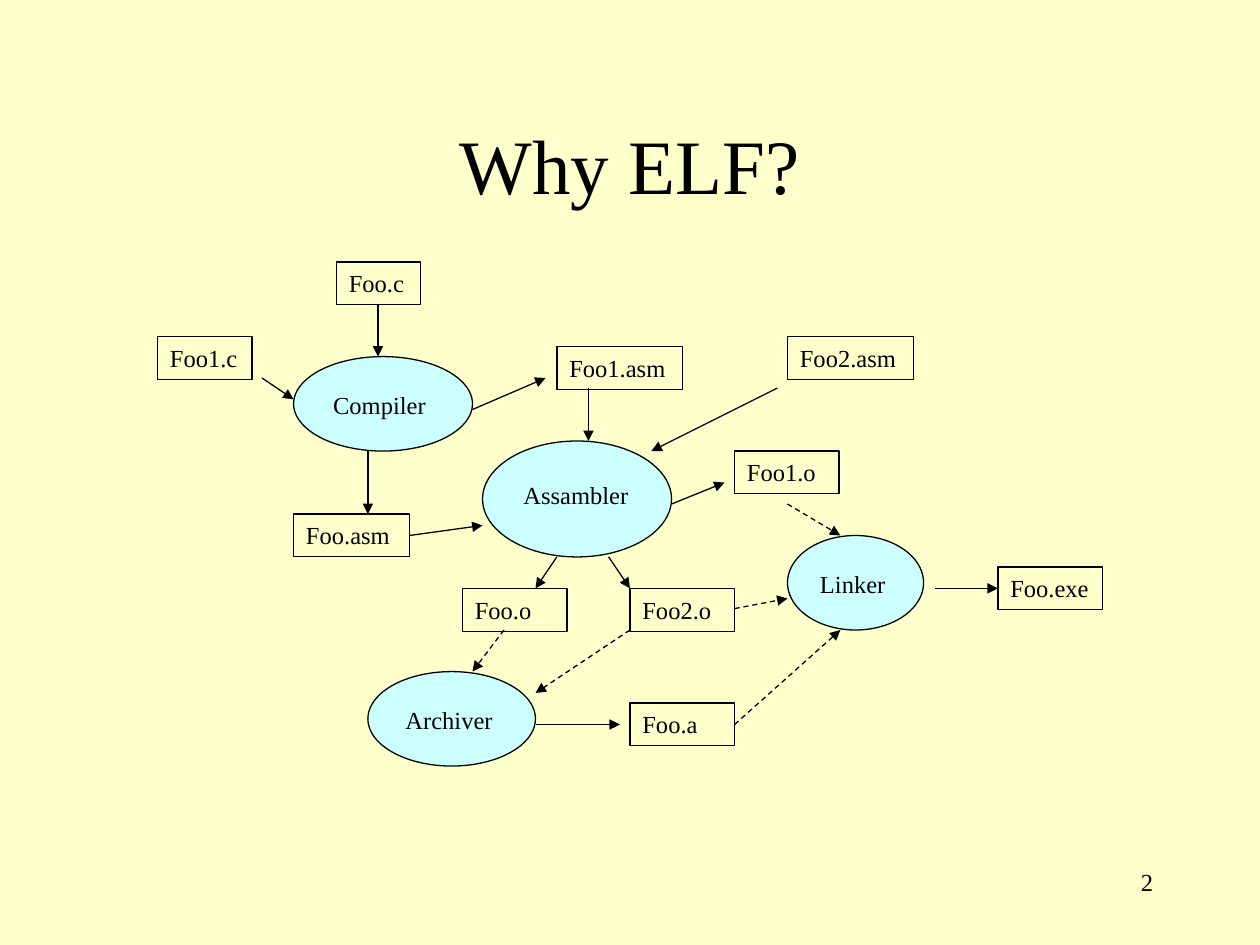
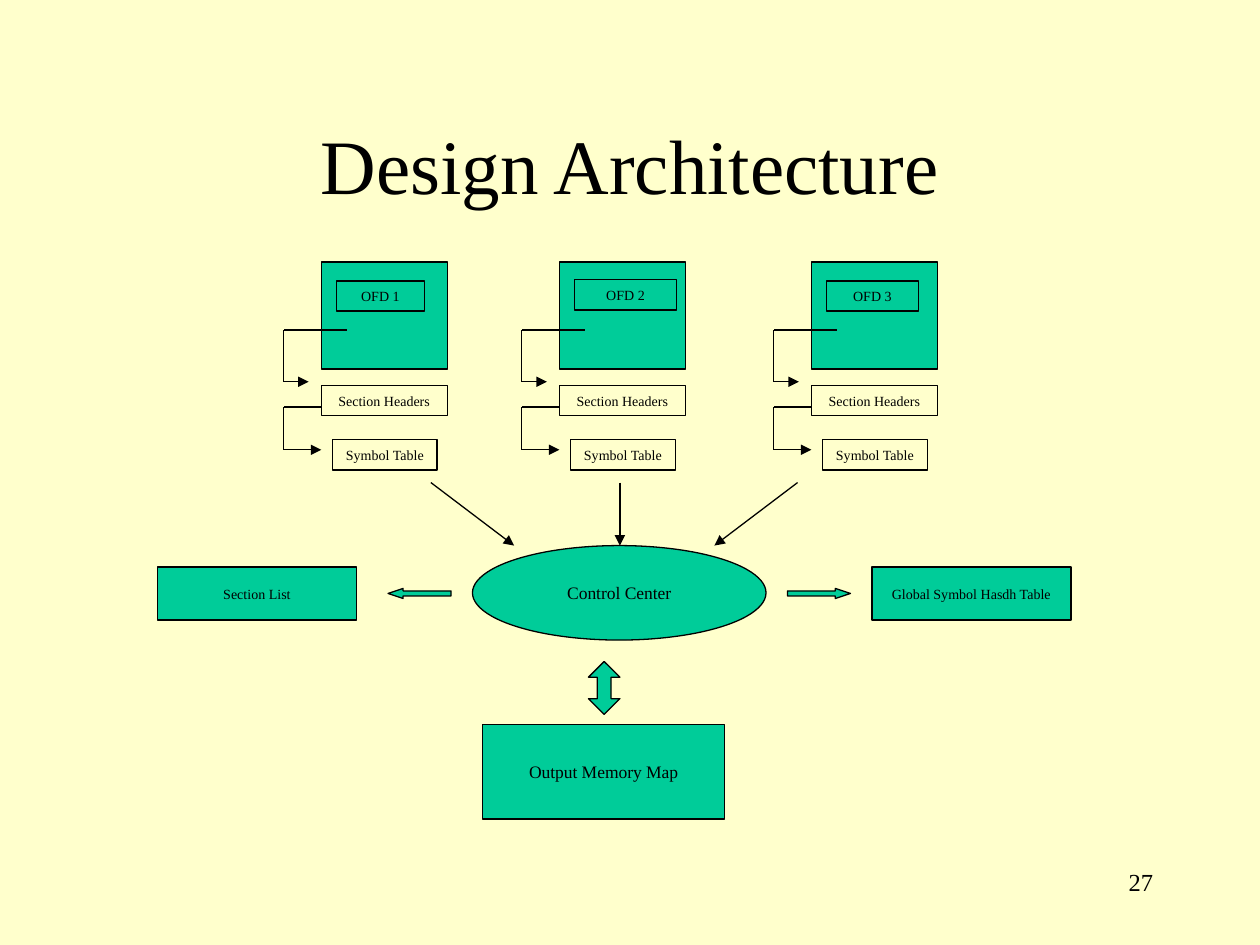
import pptx
import pptx.util
from pptx.dml.color import RGBColor
from pptx.enum.dml import MSO_LINE
from pptx.enum.shapes import MSO_CONNECTOR, MSO_SHAPE
from pptx.enum.text import MSO_ANCHOR, PP_ALIGN
from pptx.oxml.ns import qn
from lxml import etree

Inches = pptx.util.Inches
Pt = pptx.util.Pt

# Shared look
CREAM = RGBColor(0xFF, 0xFF, 0xCC)
PALE_CYAN = RGBColor(0xCC, 0xFF, 0xFF)
GREEN = RGBColor(0x00, 0xCC, 0x99)
BLACK = RGBColor(0x00, 0x00, 0x00)
FONT = "Times New Roman"
LINE_WIDTH = Pt(0.75)
FILE_HEIGHT = 0.34
TAG_HEIGHT = 0.24

# Build chain: file name, left, top, width
FILES = [
    ("Foo.c", 2.67, 2.08, 0.67), ("Foo1.c", 1.25, 2.67, 0.75),
    ("Foo1.asm", 4.42, 2.75, 1), ("Foo2.asm", 6.25, 2.67, 1),
    ("Foo.asm", 2.33, 4.08, 0.92), ("Foo1.o", 5.83, 3.58, 0.83),
    ("Foo.o", 3.67, 4.67, 0.83), ("Foo2.o", 5, 4.67, 0.83),
    ("Foo.a", 5, 5.58, 0.83), ("Foo.exe", 7.92, 4.5, 0.83),
]
# Tool name, left, top, width, height, label width, label top
TOOLS = [
    ("Compiler", 2.33, 2.83, 1.42, 0.75, 0.99, 3.05),
    ("Assambler", 3.83, 3.5, 1.5, 0.92, 1.05, 3.76),
    ("Linker", 6.25, 4.25, 1.08, 0.75, 0.76, 4.47),
    ("Archiver", 2.92, 5.33, 1.33, 0.75, 0.93, 5.55),
]
# Start and end of each step
STEPS = [
    ((3, 2.42), (3, 2.83)), ((2.08, 3), (2.33, 3.17)),
    ((2.92, 3.58), (2.92, 4.08)), ((3.75, 3.25), (4.33, 3)),
    ((3.25, 4.25), (3.83, 4.17)), ((4.67, 3.08), (4.67, 3.5)),
    ((6.17, 3.08), (5.17, 3.58)), ((5.33, 4), (5.75, 3.83)),
    ((4.42, 4.42), (4.25, 4.67)), ((4.83, 4.42), (5, 4.67)),
    ((4.25, 5.75), (4.92, 5.75)), ((7.42, 4.67), (7.92, 4.67)),
]
LINK_STEPS = [
    ((6.25, 4), (6.67, 4.25)), ((5.83, 4.83), (6.25, 4.75)),
    ((5.83, 5.75), (6.67, 5)), ((4, 5), (3.75, 5.33)),
    ((5, 5), (4.25, 5.5)),
]
# Object file descriptors: name, left, tag top, tag width
DESCRIPTORS = [
    ("OFD 1", 2.55, 2.23, 0.7),
    ("OFD 2", 4.44, 2.22, 0.81),
    ("OFD 3", 6.44, 2.23, 0.73),
]


def write(shape, text, size, align=PP_ALIGN.CENTER, anchor=MSO_ANCHOR.MIDDLE,
          wrap=False):
    frame = shape.text_frame
    frame.text = text
    frame.word_wrap = wrap
    frame.vertical_anchor = anchor
    paragraph = frame.paragraphs[0]
    paragraph.alignment = align
    font = paragraph.runs[0].font
    font.name, font.size, font.color.rgb = FONT, Pt(size), BLACK


def add_label(slide, text, left, top, width, height, size,
              align=PP_ALIGN.LEFT, anchor=MSO_ANCHOR.TOP):
    label = slide.shapes.add_textbox(
        Inches(left), Inches(top), Inches(width), Inches(height))
    write(label, text, size, align, anchor, wrap=True)


def add_figure(slide, kind, left, top, width, height, fill=None):
    figure = slide.shapes.add_shape(
        kind, Inches(left), Inches(top), Inches(width), Inches(height))
    figure.shadow.inherit = False
    if fill is None:
        figure.fill.background()
    else:
        figure.fill.solid()
        figure.fill.fore_color.rgb = fill
    figure.line.color.rgb = BLACK
    figure.line.width = LINE_WIDTH
    return figure


def add_block_arrow(slide, kind, left, top, width, height, head_ratio):
    arrow = add_figure(slide, kind, left, top, width, height, GREEN)
    arrow.adjustments[1] = head_ratio


def add_line(slide, start, end, arrow=True, dashed=False):
    line = slide.shapes.add_connector(
        MSO_CONNECTOR.STRAIGHT,
        *(Inches(value) for value in (*start, *end)))
    line.line.color.rgb = BLACK
    line.line.width = LINE_WIDTH
    if dashed:
        line.line.dash_style = MSO_LINE.DASH
    properties = line._element.spPr
    if arrow:
        etree.SubElement(properties.find(qn("a:ln")), qn("a:tailEnd"),
                         type="triangle")
    etree.SubElement(properties, qn("a:effectLst"))


def add_bracket(slide, start_x, start_y, outer_x, end_x, end_y):
    """Three-part line that leaves to the left and returns as an arrow."""
    points = [(start_x, start_y), (outer_x, start_y),
              (outer_x, end_y), (end_x, end_y)]
    for index in range(3):
        add_line(slide, points[index], points[index + 1], arrow=index == 2)


def add_page(deck, title, number):
    slide = deck.slides.add_slide(deck.slide_layouts[6])
    slide.background.fill.solid()
    slide.background.fill.fore_color.rgb = CREAM
    add_label(slide, title, 0.75, 0.67, 8.5, 1.25, 44,
              PP_ALIGN.CENTER, MSO_ANCHOR.MIDDLE)
    add_label(slide, number, 7.17, 6.83, 2.08, 0.5, 14, PP_ALIGN.RIGHT)
    return slide


def add_file(slide, name, left, top, width):
    box = add_figure(slide, MSO_SHAPE.RECTANGLE, left, top, width, FILE_HEIGHT)
    write(box, name, 14, PP_ALIGN.LEFT, MSO_ANCHOR.TOP, wrap=True)


def add_tool(slide, name, left, top, width, height, label_width, label_top):
    add_figure(slide, MSO_SHAPE.OVAL, left, top, width, height, PALE_CYAN)
    add_label(slide, name, left + (width - label_width) / 2, label_top,
              label_width, FILE_HEIGHT, 14)


def add_tag(slide, text, left, top, width):
    tag = add_figure(slide, MSO_SHAPE.RECTANGLE, left, top, width, TAG_HEIGHT)
    write(tag, text, 8)


def add_descriptor(slide, name, left, tag_top, tag_width):
    add_figure(slide, MSO_SHAPE.RECTANGLE, left, 2.08, 1, 0.85, GREEN)
    add_tag(slide, name, left + 0.12, tag_top, tag_width)
    add_tag(slide, "Section Headers", left, 3.06, 1)
    add_tag(slide, "Symbol Table", left + 0.09, 3.49, 0.83)
    outer = left - 0.3
    add_bracket(slide, left + 0.2, 2.62, outer, left - 0.1, 3.03)
    add_bracket(slide, left, 3.23, outer, left, 3.57)


def add_component(slide, kind, text, left, top, width, height, size):
    component = add_figure(slide, kind, left, top, width, height, GREEN)
    write(component, text, size)


def build_why_elf(deck):
    slide = add_page(deck, "Why ELF?", "2")
    for tool in TOOLS:
        add_tool(slide, *tool)
    for file in FILES:
        add_file(slide, *file)
    for start, end in STEPS:
        add_line(slide, start, end)
    for start, end in LINK_STEPS:
        add_line(slide, start, end, dashed=True)


def build_architecture(deck):
    slide = add_page(deck, "Design Architecture", "27")
    for descriptor in DESCRIPTORS:
        add_descriptor(slide, *descriptor)

    # Descriptors feed the control center
    for start_x, end_x in [(3.42, 4.08), (4.92, 4.92), (6.33, 5.67)]:
        add_line(slide, (start_x, 3.83), (end_x, 4.33))
    add_component(slide, MSO_SHAPE.OVAL, "Control Center",
                  3.75, 4.33, 2.33, 0.75, 10)

    # Tables and memory map around it
    for text, left in [("Section List", 1.25),
                       ("Global Symbol Hasdh Table", 6.92)]:
        add_component(slide, MSO_SHAPE.RECTANGLE, text,
                      left, 4.5, 1.58, 0.42, 8)
    add_component(slide, MSO_SHAPE.RECTANGLE, "Output Memory Map",
                  3.83, 5.75, 1.92, 0.75, 10)
    add_block_arrow(slide, MSO_SHAPE.LEFT_ARROW, 3.08, 4.67, 0.5, 0.08, 1.5)
    add_block_arrow(slide, MSO_SHAPE.RIGHT_ARROW, 6.25, 4.67, 0.5, 0.08, 1.5)
    add_block_arrow(slide, MSO_SHAPE.UP_DOWN_ARROW,
                    4.67, 5.25, 0.25, 0.42, 0.44)


def main():
    deck = pptx.Presentation()
    deck.slide_width, deck.slide_height = Inches(10), Inches(7.5)
    build_why_elf(deck)
    build_architecture(deck)
    deck.save("out.pptx")


if __name__ == "__main__":
    main()
